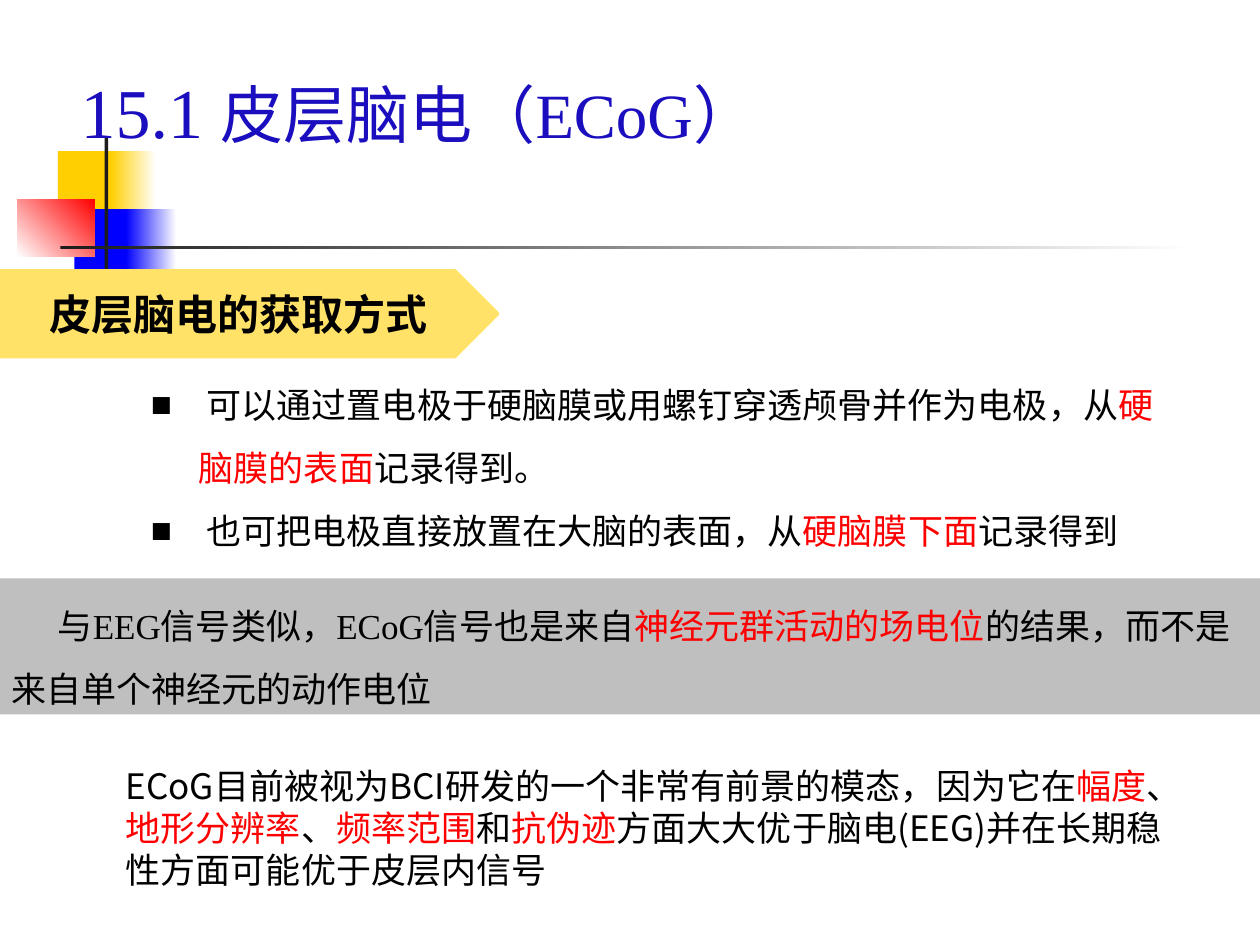
from lxml import etree
from pptx import Presentation
from pptx.dml.color import RGBColor
from pptx.enum import shapes, text
from pptx.oxml.ns import qn
from pptx.util import Inches, Pt

HUES = {"gold": "FFCF01", "blue": "0000FF", "red": "FF0000", "white": "FFFFFF",
        "dark": "1C1C1C", "black": "000000", "title": "1A0EBE",
        "gray": "BFBFBF", "sand": "FFE267"}
SERIF, SANS, CJK = "Times New Roman", "Roboto", "Noto Sans CJK SC"

DECOR = [
    ((0.46, 1.2, 0.48, 0.52), ["gold"], 0),
    ((0.88, 1.2, 0.36, 0.52), ["gold", "white"], 0),
    ((0.59, 1.66, 0.46, 0.52), ["blue"], 0),
    ((1, 1.66, 0.4, 0.52), ["blue", "white"], 0),
    ((0.14, 1.58, 0.61, 0.46), ["white", "red"], 45),
    ((0.83, 1.08, 0.03, 1.15), ["dark"], 0),
    ((0.48, 1.95, 9, 0.03), ["dark", "white"], 0),
]
TITLE = [("15.1 ", "title", 40), ("皮层脑电（ECoG）", "title", 36)]
HEAD = [("皮层脑电的获取方式", "black", 24)]
WAYS = [
    [(" 可以通过置电极于硬脑膜或用螺钉穿透颅骨并作为电极，从", "black", 20),
     ("硬脑膜的表面", "red", 20), ("记录得到。", "black", 20)],
    [(" 也可把电极直接放置在大脑的表面，从", "black", 20),
     ("硬脑膜下面", "red", 20), ("记录得到", "black", 20)],
]
ORIGIN = [("与EEG信号类似，ECoG信号也是来自", "black", 20),
          ("神经元群活动的场电位", "red", 20),
          ("的结果，而不是来自单个神经元的动作电位", "black", 20)]
OUTLOOK = [("ECoG目前被视为BCI研发的一个非常有前景的模态，因为它在", "black", 20),
           ("幅度", "red", 20), ("、", "black", 20),
           ("地形分辨率", "red", 20), ("、", "black", 20),
           ("频率范围", "red", 20), ("和", "black", 20),
           ("抗伪迹", "red", 20),
           ("方面大大优于脑电(EEG)并在长期稳性方面可能优于皮层内信号", "black", 20)]


def hue(name):
    return RGBColor.from_string(HUES[name])


def block(slide, box, fills, angle=0, kind=shapes.MSO_SHAPE.RECTANGLE):
    shape = slide.shapes.add_shape(kind, *map(Inches, box))
    shape.shadow.inherit = False
    shape.line.fill.background()
    if len(fills) == 1:
        shape.fill.solid()
        shape.fill.fore_color.rgb = hue(fills[0])
    else:
        shape.fill.gradient()
        shape.fill.gradient_angle = angle
        for stop, name, place in zip(shape.fill.gradient_stops, fills, (0, 1)):
            stop.color.rgb = hue(name)
            stop.position = place
    return shape


def write(shape, paras, font, align="LEFT", anchor="TOP", gap=1.0,
          bold=False, left=0, first=0, mark=None):
    frame = shape.text_frame
    frame.word_wrap = True
    frame.auto_size = text.MSO_AUTO_SIZE.NONE
    frame.vertical_anchor = text.MSO_ANCHOR[anchor]
    for i, runs in enumerate(paras):
        para = frame.add_paragraph() if i else frame.paragraphs[0]
        para.alignment = text.PP_ALIGN[align]
        para.line_spacing = gap
        props = para._p.get_or_add_pPr()
        props.set("marL", str(Inches(left)))
        props.set("indent", str(Inches(first)))
        if mark:
            etree.SubElement(props, qn("a:buFont")).set("typeface", SERIF)
            etree.SubElement(props, qn("a:buChar")).set("char", mark)
        for words, name, size in runs:
            run = para.add_run()
            run.text = words
            run.font.name = font
            run.font.size = Pt(size)
            run.font.bold = bold
            run.font.color.rgb = hue(name)


def label(slide, box):
    return slide.shapes.add_textbox(*map(Inches, box))


def main():
    deck = Presentation()
    deck.slide_width, deck.slide_height = Inches(10), Inches(7.5)
    slide = deck.slides.add_slide(deck.slide_layouts[5])
    for box, fills, angle in DECOR:
        block(slide, box, fills, angle)

    title = slide.shapes.title
    title.left, title.top, title.width, title.height = map(
        Inches, (0.19, 0.34, 6.26, 0.92))
    write(title, [TITLE], SERIF, "CENTER", "BOTTOM")
    slide.shapes._spTree.append(title._element)

    write(label(slide, (1.1, 2.83, 8.4, 1.61)), WAYS, SANS, gap=1.5,
          left=0.38, first=-0.38, mark="■")
    band = block(slide, (-0.01, 4.59, 10.03, 1.08), ["gray"])
    write(band, [ORIGIN], SERIF, anchor="MIDDLE", gap=1.5, first=0.37)
    arrow = block(slide, (0, 2.15, 3.95, 0.68), ["sand"],
                  kind=shapes.MSO_SHAPE.PENTAGON)
    arrow.line.color.rgb = hue("sand")
    arrow.line.width = Pt(2)
    write(arrow, [HEAD], SANS, "CENTER", "MIDDLE", bold=True)
    write(label(slide, (0.9, 6.02, 8.47, 1.11)), [OUTLOOK], CJK)
    deck.save("out.pptx")


if __name__ == "__main__":
    main()
